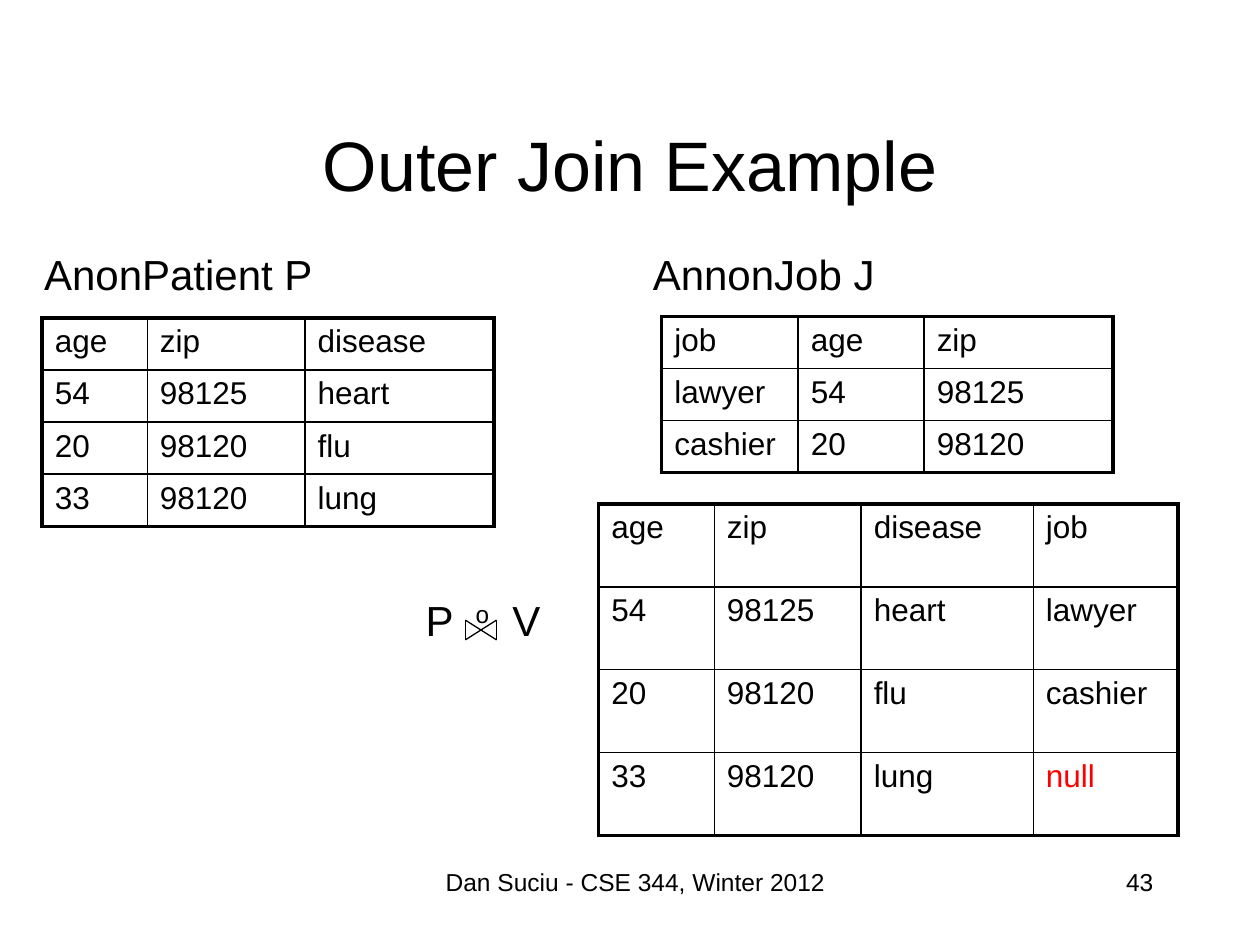
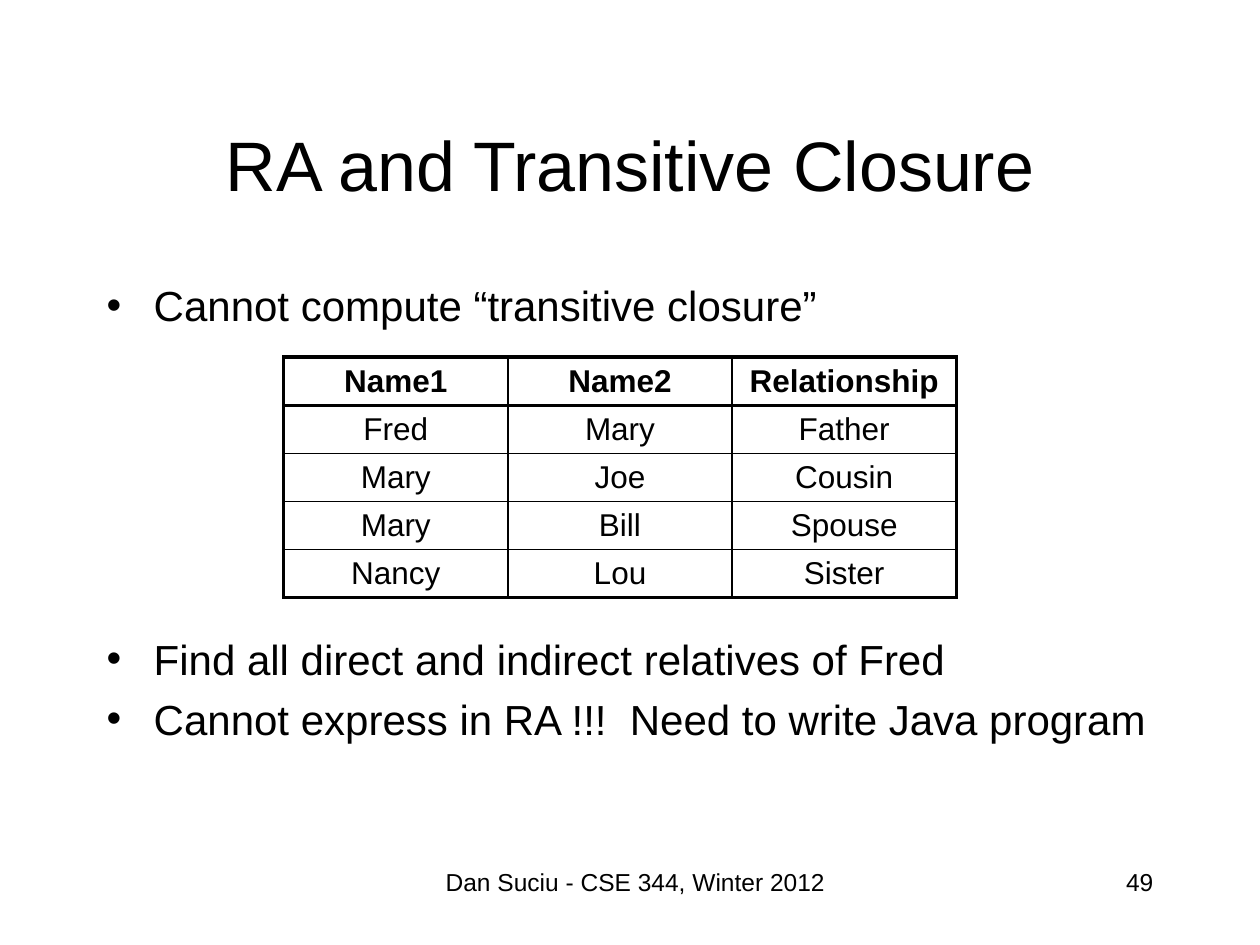
from pptx import Presentation
from pptx.dml.color import RGBColor
from pptx.enum.shapes import MSO_CONNECTOR as Connector
from pptx.enum.text import MSO_ANCHOR as Anchor, PP_ALIGN as Align
from pptx.oxml.ns import qn
from pptx.util import Cm, Pt
from lxml.etree import SubElement

BLACK = RGBColor(0x00, 0x00, 0x00)
RED = RGBColor(0xFF, 0x00, 0x00)
FONT = "Arial"
FOOTER = "Dan Suciu - CSE 344, Winter 2012"
THICK, THIN = Pt(2.25), Pt(1)


# Text
def add_span(para, text, size, color=BLACK, bold=False):
    span = para.add_run()
    span.text = text
    font = span.font
    font.name, font.size, font.bold = FONT, Pt(size), bold
    font.color.rgb = color
    return span


def add_box(slide, left, top, width, height, wrap=True):
    box = slide.shapes.add_textbox(Cm(left), Cm(top), Cm(width), Cm(height))
    box.text_frame.word_wrap = wrap
    return box.text_frame


def add_label(slide, text, place, size, align=Align.LEFT, wrap=True):
    frame = add_box(slide, *place, wrap=wrap)
    para = frame.paragraphs[0]
    para.alignment = align
    add_span(para, text, size)
    return frame


def add_bullets(slide, lines, top, height):
    frame = add_box(slide, 1.9, top, 22.02, height)
    for index, line in enumerate(lines):
        para = frame.add_paragraph() if index else frame.paragraphs[0]
        props = para._p.get_or_add_pPr()
        props.set("marL", str(Cm(0.95)))
        props.set("indent", str(-Cm(0.95)))
        SubElement(props, qn("a:buFont"), typeface=FONT)
        SubElement(props, qn("a:buChar"), char="•")
        if index:
            para.space_before = Pt(5.5)
        add_span(para, line, 24)


# Tables
def set_borders(cell, left, right, top, bottom):
    props = cell._tc.get_or_add_tcPr()
    sides = {"a:lnL": left, "a:lnR": right, "a:lnT": top, "a:lnB": bottom}
    for tag, width in sides.items():
        line = SubElement(props, qn(tag), w=str(width))
        fill = SubElement(line, qn("a:solidFill"))
        SubElement(fill, qn("a:srgbClr"), val=str(BLACK))


def add_relation(slide, rows, left, top, widths, row_height, header=False):
    """Draw a relation with a thick frame; a header row is bold and ruled off."""
    frame = slide.shapes.add_table(len(rows), len(widths), Cm(left), Cm(top),
                                   Cm(sum(widths)), Cm(row_height * len(rows)))
    table = frame.table
    table.first_row = table.horz_banding = False
    for column, width in zip(table.columns, widths):
        column.width = Cm(width)

    thick_rows = {0, len(rows)} | ({1} if header else set())
    thick_columns = {0, len(widths)}
    for r, values in enumerate(rows):
        table.rows[r].height = Cm(row_height)
        for c, value in enumerate(values):
            cell = table.cell(r, c)
            set_borders(cell,
                        *(THICK if edge in thick_columns else THIN for edge in (c, c + 1)),
                        *(THICK if edge in thick_rows else THIN for edge in (r, r + 1)))
            cell.fill.background()
            para = cell.text_frame.paragraphs[0]
            if header:
                cell.vertical_anchor = Anchor.MIDDLE
                cell.margin_top = cell.margin_bottom = Cm(0.1)
                para.alignment = Align.CENTER
            add_span(para, value, 18, RED if value == "null" else BLACK,
                     bold=header and r == 0)


# Outer join sign
def add_line(slide, start, end):
    line = slide.shapes.add_connector(Connector.STRAIGHT, *map(Cm, start + end))
    line.line.color.rgb = BLACK
    line.line.width = Pt(0.75)
    SubElement(line._element.spPr, qn("a:effectLst"))


def add_outer_join(slide):
    frame = add_box(slide, 8.33, 11.86, 2.9, 1.27, wrap=False)
    para = frame.paragraphs[0]
    stops = SubElement(para._p.get_or_add_pPr(), qn("a:tabLst"))
    for position in (1.01, 1.75):
        SubElement(stops, qn("a:tab"), pos=str(Cm(position)), algn="l")
    add_span(para, "P\t", 24)
    add_span(para, "o", 24).font._element.set("baseline", "30000")
    add_span(para, "\tV", 24)

    left, right, top, bottom = 9.38, 10.01, 12.5, 12.9
    for x in (left, right):
        add_line(slide, (x, top), (x, bottom))
    add_line(slide, (left, top), (right, bottom))
    add_line(slide, (right, top), (left, bottom))


# Shared slide frame
def add_slide(deck, title, number):
    slide = deck.slides.add_slide(deck.slide_layouts[6])
    frame = add_label(slide, title, (1.9, 1.7, 21.6, 3.18), 40, Align.CENTER)
    frame.vertical_anchor = Anchor.MIDDLE
    add_label(slide, FOOTER, (8.05, 17.35, 9.52, 1.27), 14, Align.CENTER)
    add_label(slide, str(number), (18.2, 17.35, 5.3, 1.27), 14, Align.RIGHT)
    return slide


def add_outer_join_slide(deck):
    slide = add_slide(deck, "Outer Join Example", 43)
    add_label(slide, "AnonPatient P", (0.64, 4.88, 6, 1.27), 24, wrap=False)
    add_label(slide, "AnnonJob J", (12.91, 4.88, 5.05, 1.27), 24, wrap=False)

    patients = [("age", "zip", "disease"), ("54", "98125", "heart"),
                ("20", "98120", "flu"), ("33", "98120", "lung")]
    jobs = [("job", "age", "zip"), ("lawyer", "54", "98125"),
            ("cashier", "20", "98120")]
    # Every patient appears, with null where no job matches
    job_of = {(age, zip_code): job for job, age, zip_code in jobs}
    joined = [patient + (job_of.get(patient[:2], "null"),) for patient in patients]

    add_relation(slide, patients, 0.85, 6.41, (2.12, 3.18, 3.81), 1.05)
    add_relation(slide, jobs, 13.34, 6.38, (2.75, 2.54, 3.81), 1.05)
    add_relation(slide, joined, 12.07, 10.16, (2.33, 2.96, 3.47, 2.92), 1.67)
    add_outer_join(slide)


def add_closure_slide(deck):
    slide = add_slide(deck, "RA and Transitive Closure", 49)
    add_bullets(slide, ["Cannot compute “transitive closure”"], 5.52, 1.27)
    relatives = [("Name1", "Name2", "Relationship"), ("Fred", "Mary", "Father"),
                 ("Mary", "Joe", "Cousin"), ("Mary", "Bill", "Spouse"),
                 ("Nancy", "Lou", "Sister")]
    add_relation(slide, relatives, 5.72, 7.2, (4.52,) * 3, 0.97, header=True)
    add_bullets(slide, ["Find all direct and indirect relatives of Fred",
                        "Cannot express in RA !!!  Need to write Java program"],
                12.64, 2.5)


def main():
    deck = Presentation()
    deck.slide_width, deck.slide_height = Cm(25.4), Cm(19.05)
    add_outer_join_slide(deck)
    add_closure_slide(deck)
    deck.save("out.pptx")


if __name__ == "__main__":
    main()
